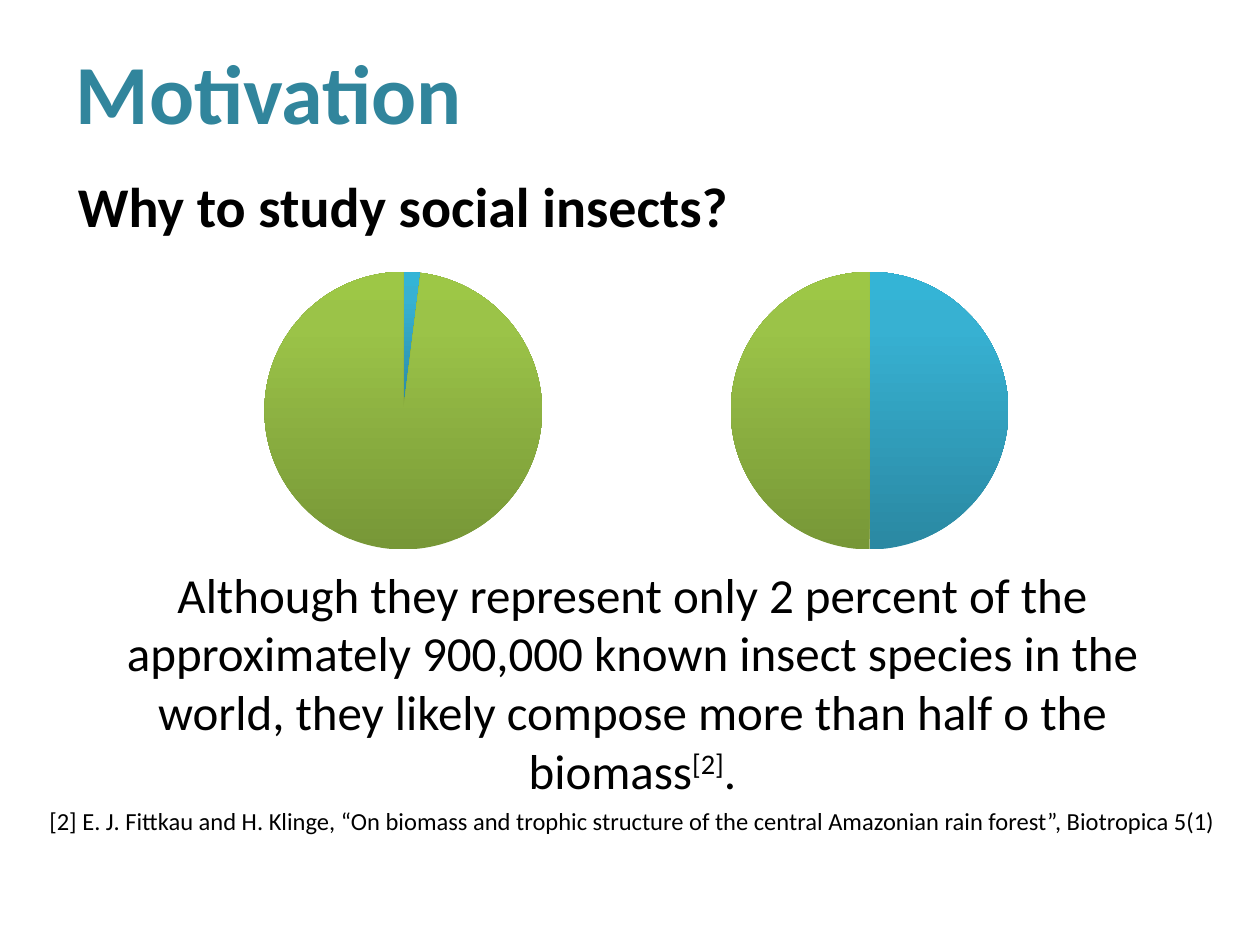
import pptx
import pptx.chart.data
import pptx.dml.color
import pptx.enum.chart
import pptx.enum.text
import pptx.oxml.ns
import pptx.util
from lxml import etree

Cm, Pt = pptx.util.Cm, pptx.util.Pt
ALIGN = pptx.enum.text.PP_ALIGN
qn = pptx.oxml.ns.qn


def color(hex_value):
    return pptx.dml.color.RGBColor.from_string(hex_value)


class SlideBuilder:
    font = "Calibri"
    black = "000000"
    teal = "31859C"
    # Gradient stops per slice: position in percent, colour
    slices = [
        [(0, "2A88A2"), (80, "37B1D2"), (100, "34B4D6")],
        [(0, "779737"), (80, "9BC348"), (100, "9DC746")],
    ]

    def __init__(self, prs):
        self.s = prs.slides.add_slide(prs.slide_layouts[5])

    def style(self, font, size, hex_value, bold=False):
        font.name, font.size, font.bold = self.font, Pt(size), bold
        font.color.rgb = color(hex_value)

    def title(self, text, left, top, width, height):
        sp = self.s.shapes.title
        sp.left, sp.top, sp.width, sp.height = map(Cm, (left, top, width, height))
        tf = sp.text_frame
        tf.text = text
        tf.vertical_anchor = pptx.enum.text.MSO_ANCHOR.MIDDLE
        p = tf.paragraphs[0]
        p.alignment = ALIGN.LEFT
        self.style(p.runs[0].font, 48, self.teal, True)

    def textbox(self, left, top, width, height):
        sp = self.s.shapes.add_textbox(*map(Cm, (left, top, width, height)))
        sp.text_frame.word_wrap = True
        return sp.text_frame

    def paragraph(self, p, texts, size, align=ALIGN.LEFT, bold=False, before=0):
        p.alignment, p.space_before = align, Pt(before)
        for text in texts:
            r = p.add_run()
            r.text = text
            self.style(r.font, size, self.black, bold)

    def pie(self, values, left, top, width, height):
        data = pptx.chart.data.CategoryChartData()
        data.categories = ["1", "2"]
        data.add_series("Series 1", values)
        chart = self.s.shapes.add_chart(
            pptx.enum.chart.XL_CHART_TYPE.PIE,
            *map(Cm, (left, top, width, height)), data).chart
        chart.has_title = chart.has_legend = False
        self.style(chart.font, 18, self.black)
        plot = chart.plots[0]
        plot.vary_by_categories = True
        series = plot.series[0]
        for i in range(len(self.slices)):
            fmt = series.points[i].format
            fmt.fill.gradient()
            fmt.fill.gradient_angle = 90
            fmt.line.fill.background()
        # Replace the default stops with three-stop gradients
        for stops, gs_list in zip(self.slices, series._element.iter(qn("a:gsLst"))):
            for gs in list(gs_list):
                gs_list.remove(gs)
            for position, hex_value in stops:
                gs = etree.SubElement(gs_list, qn("a:gs"), pos=str(position * 1000))
                etree.SubElement(gs, qn("a:srgbClr"), val=hex_value)


def main():
    prs = pptx.Presentation()
    prs.slide_width, prs.slide_height = Cm(25.4), Cm(19.05)
    b = SlideBuilder(prs)

    # Title
    b.title("Motivation", 1.27, 0.76, 22.86, 2.16)

    # Question and answer, with room for the charts between them
    tf = b.textbox(1.32, 3.33, 22.86, 13.23)
    b.paragraph(tf.paragraphs[0], ["Why to study social insects?"], 32,
                bold=True, before=6.4)
    p = tf.add_paragraph()
    b.paragraph(p, [
        "Although they represent only 2 percent of the approximately 900,000 "
        "known insect species in the world, they likely compose more than "
        "half o the biomass", "[2]", "."], 28, ALIGN.CENTER, before=186)
    p.runs[1].font._element.set("baseline", "30000")

    # Share of species, share of biomass
    for values, left in (((2, 98), 4.09), ((50, 50), 13.49)):
        b.pie(values, left, 5.13, 8.08, 6.3)

    # Reference
    tf = b.textbox(0.71, 16.13, 24.05, 0.86)
    b.paragraph(tf.paragraphs[0], [
        "[2] E. J. Fittkau and H. Klinge, “On biomass and trophic structure of "
        "the central Amazonian rain forest”, Biotropica 5(1)"], 14, ALIGN.RIGHT)

    prs.save("out.pptx")


if __name__ == "__main__":
    main()
